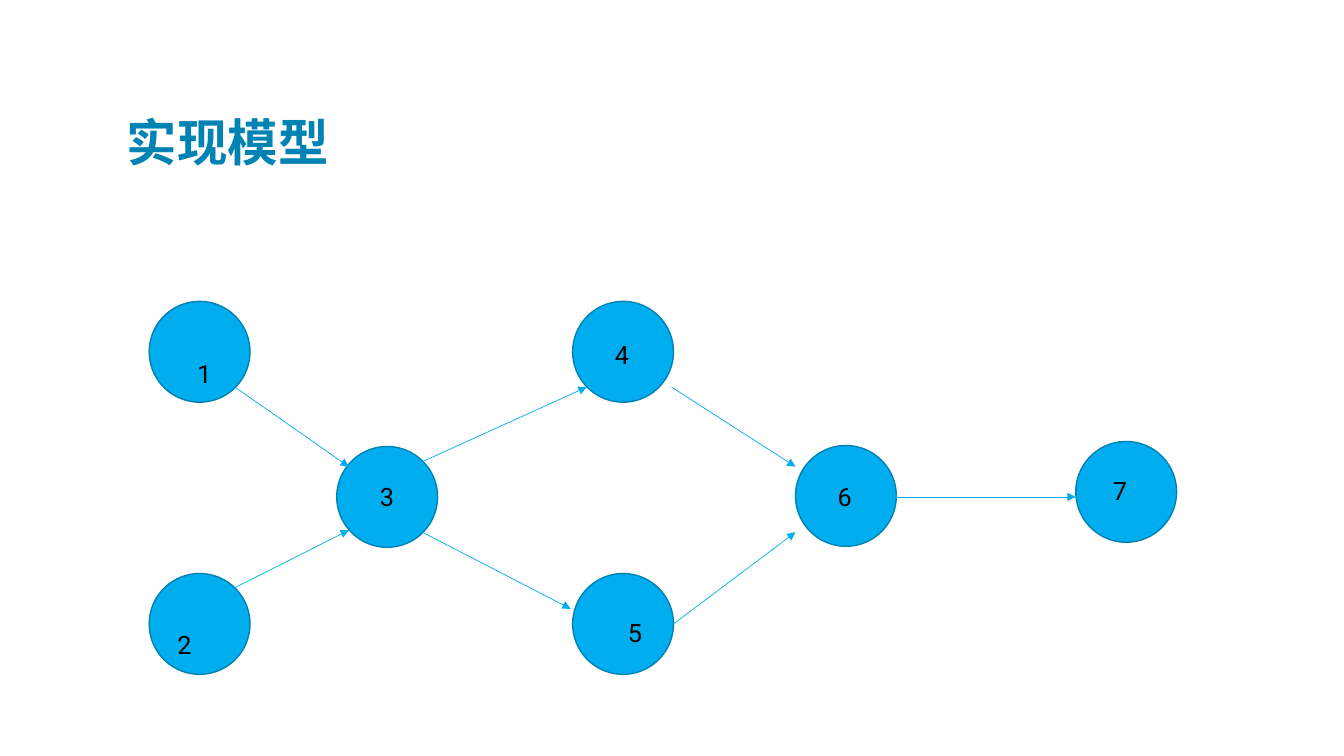
from lxml import etree
from pptx import Presentation
from pptx.dml.color import RGBColor
from pptx.enum.shapes import MSO_CONNECTOR as Connector, MSO_SHAPE as Shape
from pptx.enum.text import MSO_ANCHOR as Anchor, MSO_AUTO_SIZE as AutoSize
from pptx.oxml.ns import qn
from pptx.util import Inches, Pt

COLORS = {"title": "0083B3", "node": "00AEEF", "outline": "0081B1", "label": "000000"}
NODE_SIZE = 1
LABEL_HEIGHT = 0.4

NODES = [(1.48, 5.69), (1.48, 2.99), (3.34, 4.43), (5.68, 5.69),
         (7.89, 4.42), (10.67, 4.38), (5.68, 2.99)]

ARROWS = [
    ((2.33, 3.84), (3.46, 4.63)),
    ((2.33, 5.83), (3.46, 5.26)),
    ((4.19, 4.58), (5.82, 3.84)),
    ((4.19, 5.28), (5.66, 6.04)),
    ((6.66, 3.84), (7.89, 4.63)),
    ((6.68, 6.19), (7.89, 5.28)),
    ((8.89, 4.93), (10.67, 4.93)),
]

LABELS = [
    ("1", 1.86, 3.51, 0.31, True),
    ("2", 1.66, 6.19, 0.51, True),
    ("3", 3.67, 4.73, 0.35, False),
    ("6", 8.21, 4.73, 0.35, False),
    ("4", 6, 3.32, 0.35, False),
    ("5", 6.13, 6.08, 0.35, False),
    ("7", 10.94, 4.67, 0.35, False),
]


class ModelSlide:
    title_font = {"name": "Noto Sans CJK SC", "size": Pt(36), "bold": True}
    label_font = {"name": "Roboto", "size": Pt(18), "bold": False}
    title_frame = {"word_wrap": True, "vertical_anchor": Anchor.BOTTOM}
    label_frame = {"auto_size": AutoSize.SHAPE_TO_FIT_TEXT}

    def __init__(self, slide):
        self.shapes = slide.shapes

    def color(self, name):
        return RGBColor.from_string(COLORS[name])

    def apply(self, target, values):
        for key, value in values.items():
            setattr(target, key, value)

    def text(self, words, box, frame_format, font_format, color):
        frame = self.shapes.add_textbox(*map(Inches, box)).text_frame
        self.apply(frame, frame_format)
        run = frame.paragraphs[0].add_run()
        run.text = words
        self.apply(run.font, font_format)
        run.font.color.rgb = self.color(color)
        east_asian = etree.SubElement(run._r.get_or_add_rPr(), qn("a:ea"))
        east_asian.set("typeface", font_format["name"])

    def title(self, words):
        self.text(words, (1.16, 0.58, 9.5, 1.17),
                  self.title_frame, self.title_font, "title")

    def label(self, words, left, top, width, wraps):
        self.text(words, (left, top, width, LABEL_HEIGHT),
                  {**self.label_frame, "word_wrap": wraps}, self.label_font, "label")

    def node(self, left, top):
        circle = self.shapes.add_shape(
            Shape.OVAL, *map(Inches, (left, top, NODE_SIZE, NODE_SIZE)))
        circle.shadow.inherit = False
        circle.fill.solid()
        circle.fill.fore_color.rgb = self.color("node")
        circle.line.color.rgb = self.color("outline")
        circle.line.width = Pt(1)

    def arrow(self, start, end):
        link = self.shapes.add_connector(
            Connector.STRAIGHT, *map(Inches, (*start, *end)))
        link.line.color.rgb = self.color("node")
        link.line.width = Pt(0.5)
        head = etree.SubElement(link.line._get_or_add_ln(), qn("a:tailEnd"))
        head.set("type", "triangle")
        etree.SubElement(link._element.spPr, qn("a:effectLst"))


def main():
    deck = Presentation()
    deck.slide_width, deck.slide_height = Inches(13.33), Inches(7.5)
    model = ModelSlide(deck.slides.add_slide(deck.slide_layouts[6]))
    model.title("实现模型")
    for node in NODES:
        model.node(*node)
    for arrow in ARROWS:
        model.arrow(*arrow)
    for label in LABELS:
        model.label(*label)
    deck.save("out.pptx")


if __name__ == "__main__":
    main()
